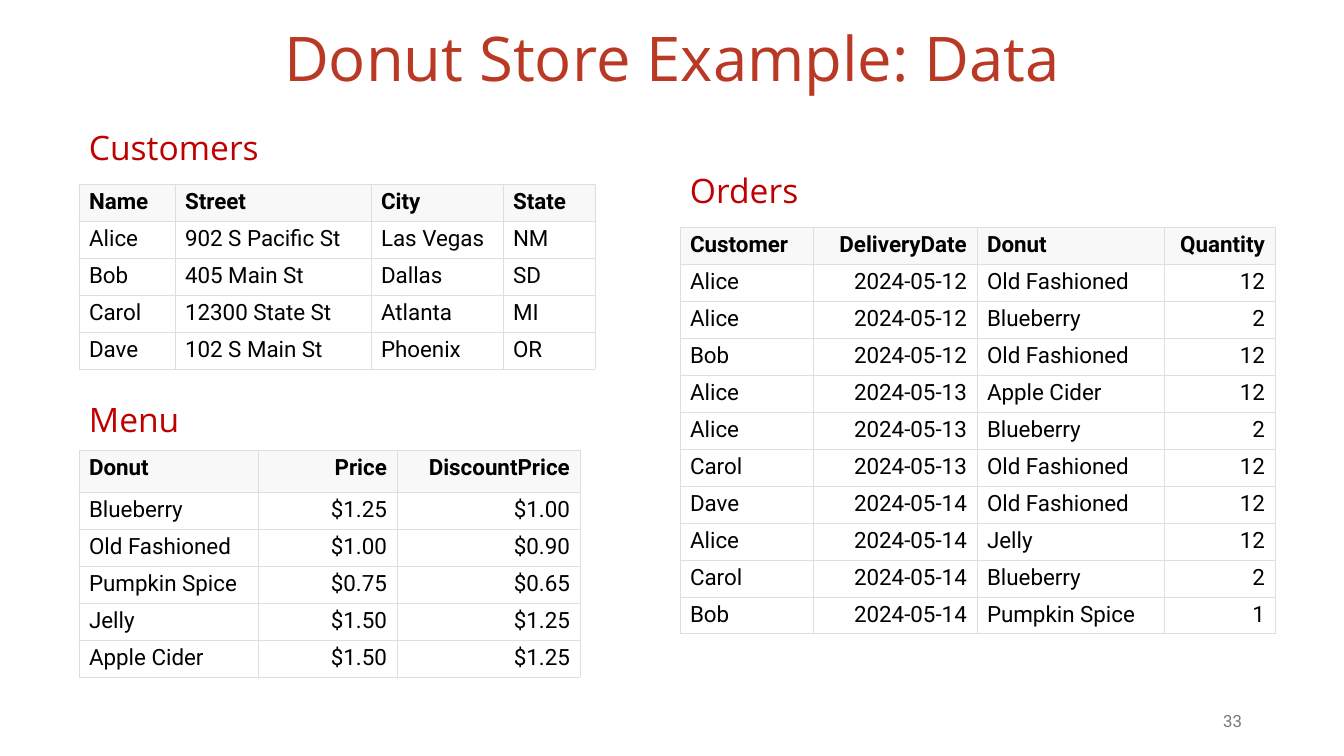
from lxml import etree
from pptx import Presentation
from pptx import util as u
from pptx.dml.color import RGBColor
from pptx.enum import text
from pptx.oxml.ns import qn

PX = 914400 / 100.8  # EMU in one px
COLORS = {
    "title": "BA3925", "heading": "C00000", "number": "797979",
    "text": "000000", "header": "F7F8F7", "body": "FFFFFF", "border": "DEDEDE",
}
ALIGN = {"l": text.PP_ALIGN.LEFT, "c": text.PP_ALIGN.CENTER, "r": text.PP_ALIGN.RIGHT}
ROW_HEIGHT = 37
HEADING_WIDTH, HEADING_HEIGHT = 343, 50

CUSTOMERS = [
    ("Name", "Street", "City", "State"),
    ("Alice", "902 S Pacific St", "Las Vegas", "NM"),
    ("Bob", "405 Main St", "Dallas", "SD"),
    ("Carol", "12300 State St", "Atlanta", "MI"),
    ("Dave", "102 S Main St", "Phoenix", "OR"),
]
MENU = [
    ("Donut", "Price", "DiscountPrice"),
    ("Blueberry", "$1.25", "$1.00"),
    ("Old Fashioned", "$1.00", "$0.90"),
    ("Pumpkin Spice", "$0.75", "$0.65"),
    ("Jelly", "$1.50", "$1.25"),
    ("Apple Cider", "$1.50", "$1.25"),
]
ORDERS = [
    ("Customer", "DeliveryDate", "Donut", "Quantity"),
    ("Alice", "2024-05-12", "Old Fashioned", "12"),
    ("Alice", "2024-05-12", "Blueberry", "2"),
    ("Bob", "2024-05-12", "Old Fashioned", "12"),
    ("Alice", "2024-05-13", "Apple Cider", "12"),
    ("Alice", "2024-05-13", "Blueberry", "2"),
    ("Carol", "2024-05-13", "Old Fashioned", "12"),
    ("Dave", "2024-05-14", "Old Fashioned", "12"),
    ("Alice", "2024-05-14", "Jelly", "12"),
    ("Carol", "2024-05-14", "Blueberry", "2"),
    ("Bob", "2024-05-14", "Pumpkin Spice", "1"),
]


def px(length):
    return u.Emu(round(length * PX))


def write(frame, words, size=16, font="Roboto", color="text", bold=False,
          align="l", spacing=None):
    paragraph = frame.paragraphs[0]
    paragraph.alignment = ALIGN[align]
    paragraph.line_spacing = spacing
    run = paragraph.add_run()
    run.text = words
    run.font.size = u.Pt(size)
    run.font.name = font
    run.font.bold = bold
    run.font.color.rgb = RGBColor.from_string(COLORS[color])


def add_text(slide, box, words, anchor=text.MSO_ANCHOR.TOP, **style):
    frame = slide.shapes.add_textbox(*map(px, box)).text_frame
    frame.word_wrap = True
    frame.vertical_anchor = anchor
    write(frame, words, **style)


def add_borders(cell):
    properties = cell._tc.get_or_add_tcPr()
    for index, side in enumerate(("a:lnL", "a:lnR", "a:lnT", "a:lnB")):
        line = etree.Element(qn(side), w=str(u.Pt(0.6)))
        fill = etree.SubElement(line, qn("a:solidFill"))
        etree.SubElement(fill, qn("a:srgbClr"), val=COLORS["border"])
        properties.insert(index, line)


# A red heading with its table below, both aligned to the same left edge
def add_section(slide, left, top, heading, rows, widths, aligns, gap, header_height=ROW_HEIGHT):
    add_text(slide, (left, top, HEADING_WIDTH, HEADING_HEIGHT), heading,
             size=24, font="Open Sans", color="heading")
    heights = [header_height] + [ROW_HEIGHT] * (len(rows) - 1)
    box = (left, top + gap, sum(widths), sum(heights))
    table = slide.shapes.add_table(len(rows), len(widths), *map(px, box)).table
    table.horz_banding = False
    for column, width in zip(table.columns, widths):
        column.width = px(width)
    for row_index, (values, height) in enumerate(zip(rows, heights)):
        table.rows[row_index].height = px(height)
        is_header = row_index == 0
        for column_index, value in enumerate(values):
            cell = table.cell(row_index, column_index)
            cell.fill.solid()
            cell.fill.fore_color.rgb = RGBColor.from_string(
                COLORS["header" if is_header else "body"])
            add_borders(cell)
            write(cell.text_frame, value, bold=is_header, align=aligns[column_index])


def add_data_slide(presentation):
    slide = presentation.slides.add_slide(presentation.slide_layouts[6])
    # Title and page number
    middle = text.MSO_ANCHOR.MIDDLE
    add_text(slide, (93, 19, 1159, 86), "Donut Store Example: Data", anchor=middle,
             size=44, font="Open Sans", color="title", align="c", spacing=0.9)
    add_text(slide, (950, 701, 302, 40), "33", anchor=middle,
             size=12, color="number", align="r")
    # Left column
    add_section(slide, 79, 122, "Customers", CUSTOMERS, (96, 196, 132, 92), "llll", gap=62)
    add_section(slide, 79, 394, "Menu", MENU, (179, 139, 183), "lrr", gap=56, header_height=42)
    # Right column
    add_section(slide, 680, 165, "Orders", ORDERS, (133, 164, 187, 111), "lrlr", gap=62)


def main():
    presentation = Presentation()
    presentation.slide_width = px(1344)
    presentation.slide_height = px(756)
    add_data_slide(presentation)
    presentation.save("out.pptx")


if __name__ == "__main__":
    main()
